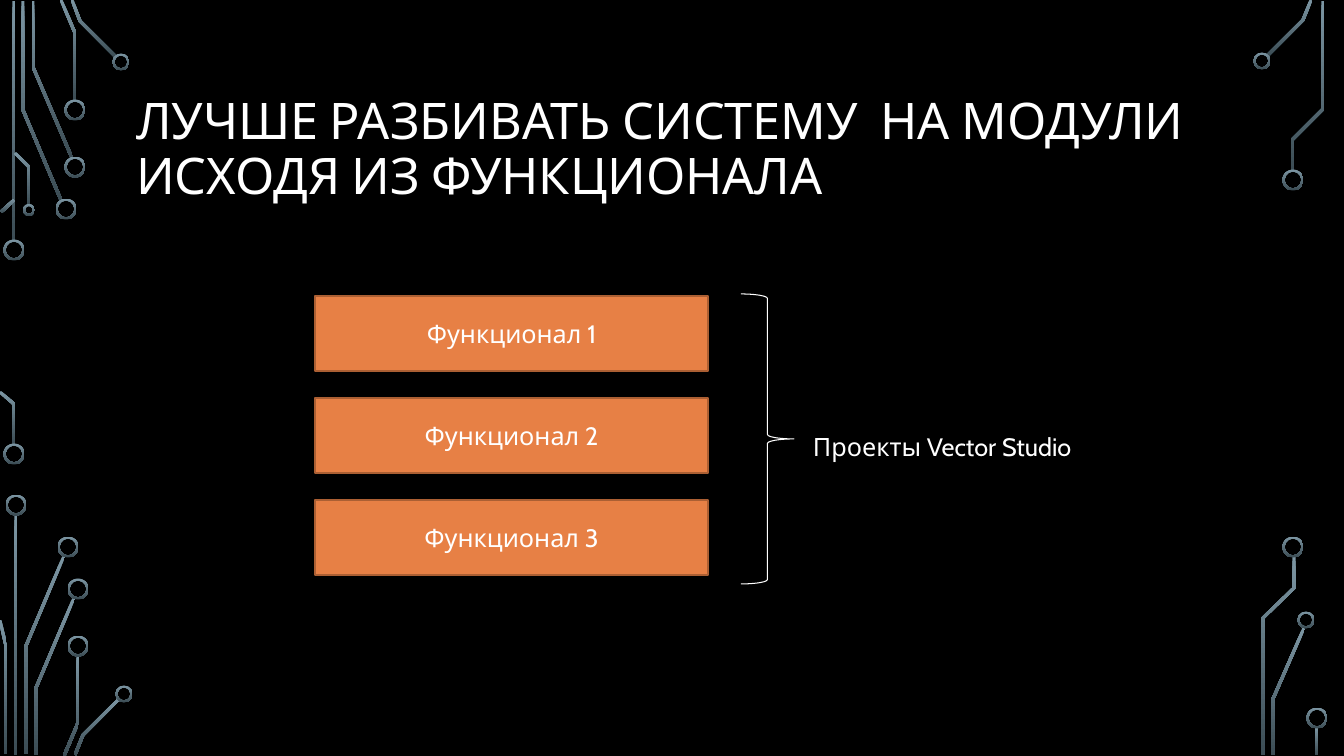
import math

from pptx import Presentation
from pptx import util as u
from pptx.dml.color import RGBColor
from pptx.enum import shapes, text

PX = 12192000 / 1344
FONT = "Cabin"
COLORS = {
    "background": "000000",
    "text": "FFFFFF",
    "box": "E78045",
    "box_border": "AB5F33",
    "trace_top": "7C96A3",
    "trace_bottom": "3B4C54",
}
TRACE_WIDTH = 3
RING_THICKNESS = 2

TRACES = [
    [(14, 1), (14, 242)],
    [(23, 1), (23, 110), (61, 200)],
    [(33, 1), (33, 67), (72, 158)],
    [(61, 0), (75, 33), (75, 101)],
    [(72, 0), (80, 21), (116, 57)],
    [(1, 212), (14, 200)],
    [(0, 392), (14, 404), (14, 444)],
    [(15, 153), (29, 167), (29, 205)],
    [(16, 514), (16, 755)],
    [(26, 754), (26, 646), (64, 556)],
    [(6, 754), (6, 646), (0, 620)],
    [(36, 755), (36, 688), (74, 598)],
    [(64, 756), (78, 723), (78, 655)],
    [(75, 755), (83, 735), (119, 699)],
    [(1267, 56), (1303, 20), (1311, 0)],
    [(1273, 755), (1273, 699), (1304, 628)],
    [(1292, 170), (1292, 140), (1323, 109), (1323, 1)],
    [(1263, 755), (1263, 618), (1294, 588), (1294, 556)],
    [(1317, 727), (1317, 755)],
]
RING_CENTERS = {
    21: [(14, 250), (14, 454), (66, 209), (75, 167), (75, 110), (16, 505),
         (68, 547), (78, 589), (78, 646), (1293, 180), (1293, 547), (1317, 718)],
    17: [(121, 62), (124, 694), (1262, 61), (1306, 620)],
    12: [(29, 210)],
}


def px(length):
    return u.Emu(round(length * PX))


def color(name):
    return RGBColor.from_string(COLORS[name])


def place(shape, left, top, width, height):
    shape.left, shape.top = px(left), px(top)
    shape.width, shape.height = px(width), px(height)


def write(shape, words, size, align, anchor):
    frame = shape.text_frame
    frame.vertical_anchor = anchor
    paragraph = frame.paragraphs[0]
    paragraph.alignment = align
    run = paragraph.add_run()
    run.text = words
    run.font.name = FONT
    run.font.size = u.Pt(size)
    run.font.color.rgb = color("text")
    return paragraph


def add_preset(slide, kind, left, top, width, height):
    shape = slide.shapes.add_shape(kind, px(left), px(top), px(width), px(height))
    shape.shadow.inherit = False
    return shape


def paint_metal(shape):
    shape.shadow.inherit = False
    shape.line.fill.background()
    shape.fill.gradient()
    shape.fill.gradient_angle = 270
    for stop, name in zip(shape.fill.gradient_stops, ("trace_top", "trace_bottom")):
        stop.color.rgb = color(name)


def offset_side(points, distance):
    angles = [math.atan2(y2 - y1, x2 - x1)
              for (x1, y1), (x2, y2) in zip(points, points[1:])]
    side = []
    for (x, y), before, after in zip(points, angles[:1] + angles, angles + angles[-1:]):
        middle = (before + after) / 2
        reach = distance / math.cos((after - before) / 2)
        side.append((px(x - reach * math.sin(middle)), px(y + reach * math.cos(middle))))
    return side


def add_trace(slide, points):
    half = TRACE_WIDTH / 2
    outline = offset_side(points, half) + offset_side(points, -half)[::-1]
    builder = slide.shapes.build_freeform(*outline[0])
    builder.add_line_segments(outline[1:], close=True)
    paint_metal(builder.convert_to_shape())


def add_ring(slide, center, size):
    x, y = center
    ring = add_preset(slide, shapes.MSO_SHAPE.DONUT, x - size / 2, y - size / 2, size, size)
    ring.adjustments[0] = RING_THICKNESS / size
    paint_metal(ring)


def add_title(slide, words):
    title = slide.shapes.title
    place(title, 126, 69, 1092, 163)
    title.text_frame.word_wrap = True
    title.text_frame.auto_size = text.MSO_AUTO_SIZE.NONE
    paragraph = write(title, words, 36, text.PP_ALIGN.LEFT, text.MSO_ANCHOR.MIDDLE)
    paragraph.line_spacing = 0.9


def add_box(slide, words, top):
    box = add_preset(slide, shapes.MSO_SHAPE.RECTANGLE, 315, top, 393, 75)
    box.fill.solid()
    box.fill.fore_color.rgb = color("box")
    box.line.color.rgb = color("box_border")
    box.line.width = u.Pt(1.25)
    write(box, words, 18, text.PP_ALIGN.CENTER, text.MSO_ANCHOR.MIDDLE)


def add_brace(slide):
    brace = add_preset(slide, shapes.MSO_SHAPE.RIGHT_BRACE, 741, 294, 53, 290)
    brace.fill.background()
    brace.line.color.rgb = color("text")
    brace.line.width = u.Pt(0.75)


def add_label(slide, words):
    label = slide.shapes.add_textbox(px(803), px(426), px(298), px(40))
    label.text_frame.word_wrap = False
    label.text_frame.auto_size = text.MSO_AUTO_SIZE.SHAPE_TO_FIT_TEXT
    write(label, words, 18, text.PP_ALIGN.LEFT, text.MSO_ANCHOR.TOP)


def main():
    presentation = Presentation()
    presentation.slide_width, presentation.slide_height = px(1344), px(756)
    slide = presentation.slides.add_slide(presentation.slide_layouts[5])
    slide.background.fill.solid()
    slide.background.fill.fore_color.rgb = color("background")

    for points in TRACES:
        add_trace(slide, points)
    for size, centers in RING_CENTERS.items():
        for center in centers:
            add_ring(slide, center, size)

    add_title(slide, "ЛУЧШЕ РАЗБИВАТЬ СИСТЕМУ  НА МОДУЛИ ИСХОДЯ ИЗ ФУНКЦИОНАЛА")
    for index in range(3):
        add_box(slide, f"Функционал {index + 1}", 296 + 102 * index)
    add_brace(slide)
    add_label(slide, "Проекты Vector Studio")
    presentation.save("out.pptx")


if __name__ == "__main__":
    main()
